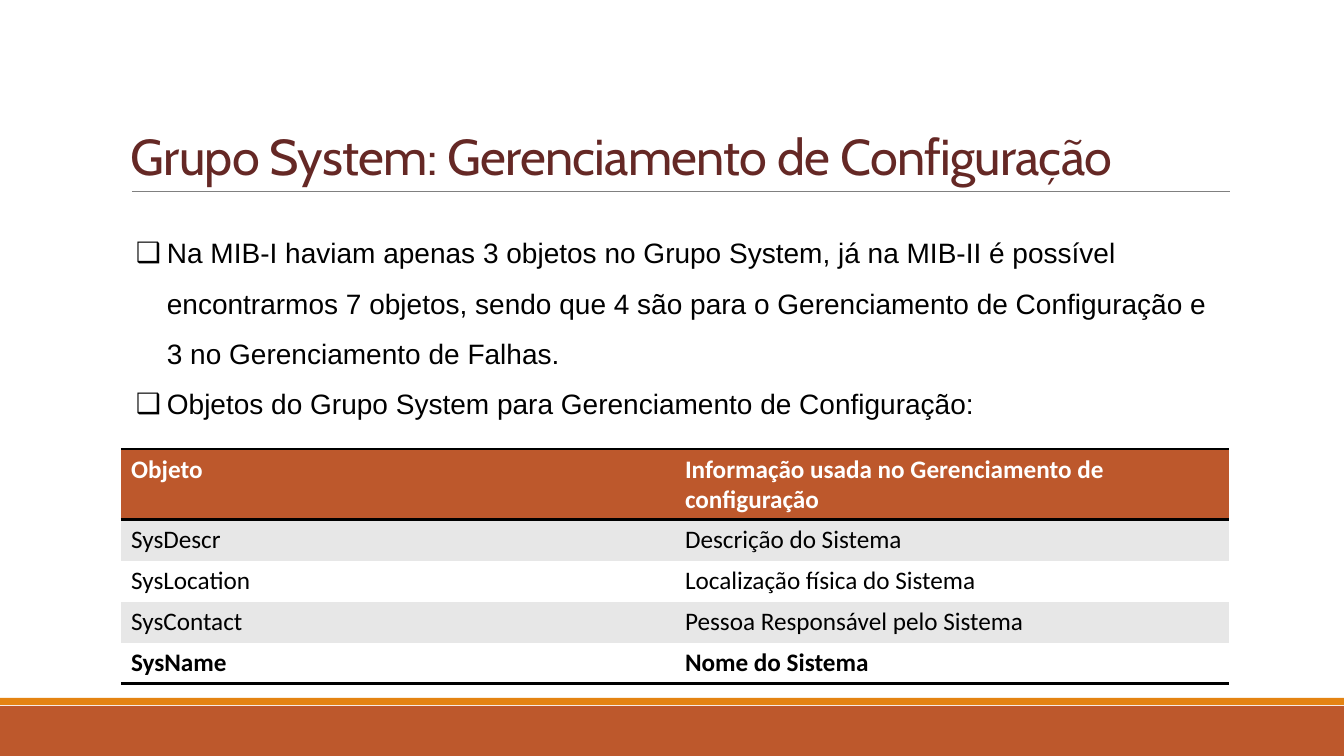
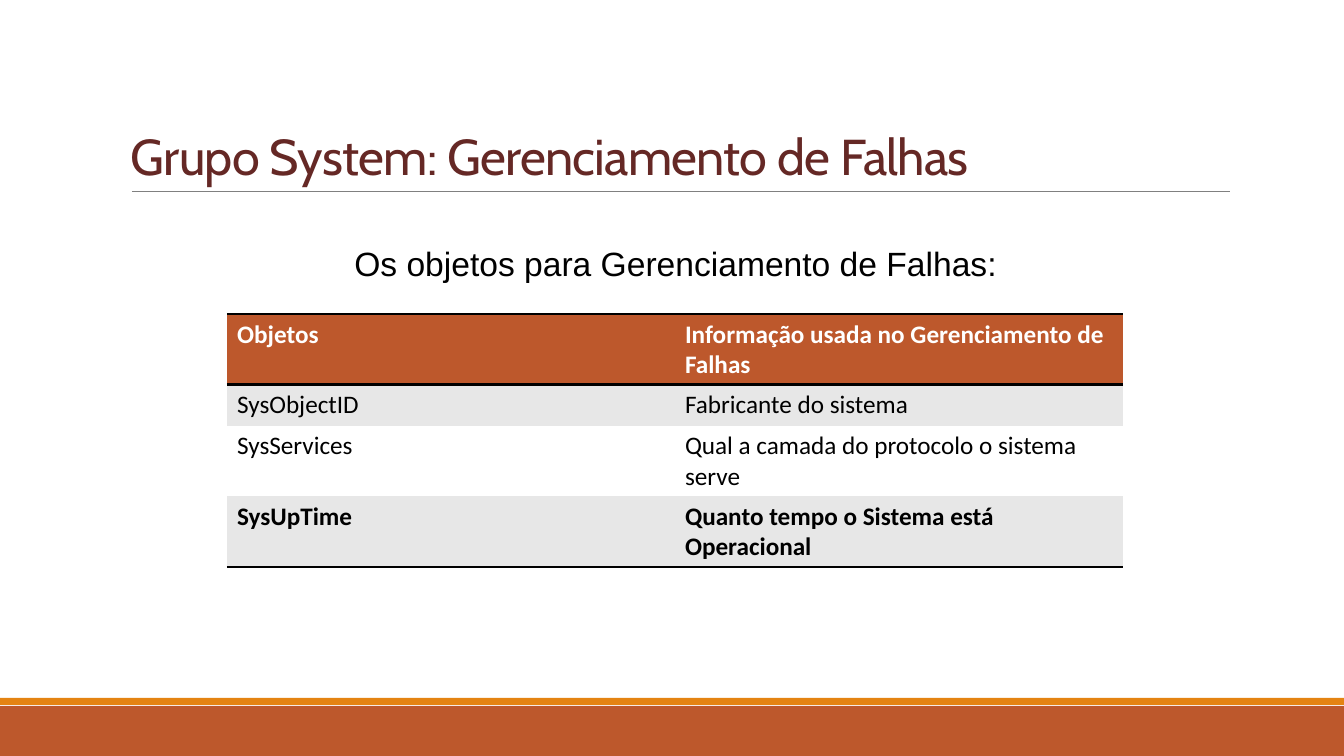
import pptx
import pptx.dml.color
import pptx.enum.shapes
import pptx.enum.text
import pptx.oxml
import pptx.oxml.ns
import pptx.util

SLIDE_WIDTH, SLIDE_HEIGHT = 1344, 756
EMU_PER_PX = 12192000 / SLIDE_WIDTH

RUST = pptx.dml.color.RGBColor(0xBD, 0x58, 0x2C)
ORANGE = pptx.dml.color.RGBColor(0xE4, 0x83, 0x12)
MAROON = pptx.dml.color.RGBColor(0x65, 0x28, 0x25)
RULE_GRAY = pptx.dml.color.RGBColor(0x80, 0x80, 0x80)
BAND_GRAY = pptx.dml.color.RGBColor(0xE7, 0xE7, 0xE7)
WHITE = pptx.dml.color.RGBColor(0xFF, 0xFF, 0xFF)
BLACK = pptx.dml.color.RGBColor(0, 0, 0)

TITLE_FONT, BODY_FONT, TABLE_FONT = "Cabin", "Arial", "Calibri"
TITLE_BOX = (121, 31, 1109, 160)
ROW_HEIGHT = 41
PLAIN_TABLE_STYLE = "{2D5ABB26-0587-4C30-8999-92F81FD0307C}"


def px(length):
    return pptx.util.Emu(round(length * EMU_PER_PX))


def add_xml(parent, xml):
    namespace = pptx.oxml.ns.nsdecls("a")
    parent.append(pptx.oxml.parse_xml(xml.replace(" ", f" {namespace} ", 1)))


def add_run(paragraph, text, font_name, size, color, bold=False):
    run = paragraph.add_run()
    run.text = text
    run.font.name = font_name
    run.font.size = pptx.util.Pt(size)
    run.font.color.rgb = color
    run.font.bold = bold
    return run


def add_text_frame(slide, box):
    frame = slide.shapes.add_textbox(*map(px, box)).text_frame
    frame.word_wrap = True
    return frame


def add_band(slide, top, height, color):
    band = slide.shapes.add_shape(
        pptx.enum.shapes.MSO_SHAPE.RECTANGLE, 0, px(top), px(SLIDE_WIDTH), px(height))
    band.shadow.inherit = False
    band.fill.solid()
    band.fill.fore_color.rgb = color
    band.line.fill.background()


def add_titled_slide(presentation, title, line_spacing):
    slide = presentation.slides.add_slide(presentation.slide_layouts[6])

    # Footer bands
    add_band(slide, 706, 50, RUST)
    add_band(slide, 698, 7, ORANGE)

    # Rule under the title, inset from the title box
    left, top, width, height = TITLE_BOX
    bottom = top + height
    rule = slide.shapes.add_connector(
        pptx.enum.shapes.MSO_CONNECTOR.STRAIGHT,
        px(left + 11), px(bottom), px(left + width), px(bottom))
    rule.line.color.rgb = RULE_GRAY
    rule.line.width = pptx.util.Pt(0.5)
    add_xml(rule._element.spPr, "<a:effectLst />")

    # Title
    frame = add_text_frame(slide, TITLE_BOX)
    frame.vertical_anchor = pptx.enum.text.MSO_ANCHOR.BOTTOM
    paragraph = frame.paragraphs[0]
    paragraph.line_spacing = line_spacing
    run = add_run(paragraph, title, TITLE_FONT, 36, MAROON)
    run._r.get_or_add_rPr().set("spc", "-50")
    return slide


def add_bullets(slide, box, items):
    frame = add_text_frame(slide, box)
    for index, item in enumerate(items):
        paragraph = frame.add_paragraph() if index else frame.paragraphs[0]
        paragraph.line_spacing = 1.5
        properties = paragraph._p.get_or_add_pPr()
        properties.set("marL", str(px(31)))
        properties.set("indent", str(-px(31)))
        add_xml(properties, '<a:buFont typeface="Arial"/>')
        add_xml(properties, '<a:buChar char="❑"/>')
        add_run(paragraph, item, BODY_FONT, 20, BLACK)


def add_centered_lead(slide, box, text):
    frame = add_text_frame(slide, box)
    frame.margin_left = frame.margin_right = 0
    paragraph = frame.paragraphs[0]
    paragraph.alignment = pptx.enum.text.PP_ALIGN.CENTER
    paragraph.line_spacing = 0.9
    paragraph.space_before = pptx.util.Pt(12)
    paragraph.space_after = pptx.util.Pt(2)
    add_run(paragraph, text, BODY_FONT, 24, BLACK)


def add_border(cell, side):
    add_xml(cell._tc.get_or_add_tcPr(),
            f'<a:ln{side} w="{pptx.util.Pt(2)}"><a:solidFill>'
            f'<a:srgbClr val="{BLACK}"/></a:solidFill></a:ln{side}>')


def add_object_table(slide, left, top, column_width, rows):
    column_count, last = len(rows[0]), len(rows) - 1
    table = slide.shapes.add_table(
        len(rows), column_count, px(left), px(top),
        px(column_width * column_count), px(ROW_HEIGHT * len(rows))).table
    table._tbl.tblPr.find(pptx.oxml.ns.qn("a:tableStyleId")).text = PLAIN_TABLE_STYLE

    for row_index, texts in enumerate(rows):
        header = row_index == 0
        fill = RUST if header else BAND_GRAY if row_index % 2 else WHITE
        for column_index, text in enumerate(texts):
            cell = table.cell(row_index, column_index)
            # Borders go before the fill in the cell properties
            if header:
                add_border(cell, "T")
            if row_index in (0, last):
                add_border(cell, "B")
            cell.fill.solid()
            cell.fill.fore_color.rgb = fill
            add_run(cell.text_frame.paragraphs[0], text, TABLE_FONT, 18,
                    WHITE if header else BLACK, bold=row_index in (0, last))


def build_configuration_slide(presentation):
    slide = add_titled_slide(
        presentation, "Grupo System: Gerenciamento de Configuração", 0.9)
    add_object_table(slide, 121, 449, 554, [
        ("Objeto", "Informação usada no Gerenciamento de configuração"),
        ("SysDescr", "Descrição do Sistema"),
        ("SysLocation", "Localização física do Sistema"),
        ("SysContact", "Pessoa Responsável pelo Sistema"),
        ("SysName", "Nome do Sistema"),
    ])
    add_bullets(slide, (126, 214, 1098, 214), [
        "Na MIB-I haviam apenas 3 objetos no Grupo System, já na MIB-II é possível "
        "encontrarmos 7 objetos, sendo que 4 são para o Gerenciamento de Configuração "
        "e 3 no Gerenciamento de Falhas.",
        "Objetos do Grupo System para Gerenciamento de Configuração:",
    ])


def build_fault_slide(presentation):
    slide = add_titled_slide(
        presentation, "Grupo System: Gerenciamento de Falhas", 0.85)
    add_centered_lead(slide, (121, 243, 1109, 444),
                      "Os objetos para Gerenciamento de Falhas:")
    add_object_table(slide, 227, 314, 448, [
        ("Objetos", "Informação usada no Gerenciamento de Falhas"),
        ("SysObjectID", "Fabricante do sistema"),
        ("SysServices", "Qual a camada do protocolo o sistema serve"),
        ("SysUpTime", "Quanto tempo o Sistema está Operacional"),
    ])


def main():
    presentation = pptx.Presentation()
    presentation.slide_width = px(SLIDE_WIDTH)
    presentation.slide_height = px(SLIDE_HEIGHT)
    build_configuration_slide(presentation)
    build_fault_slide(presentation)
    presentation.save("out.pptx")


if __name__ == "__main__":
    main()
